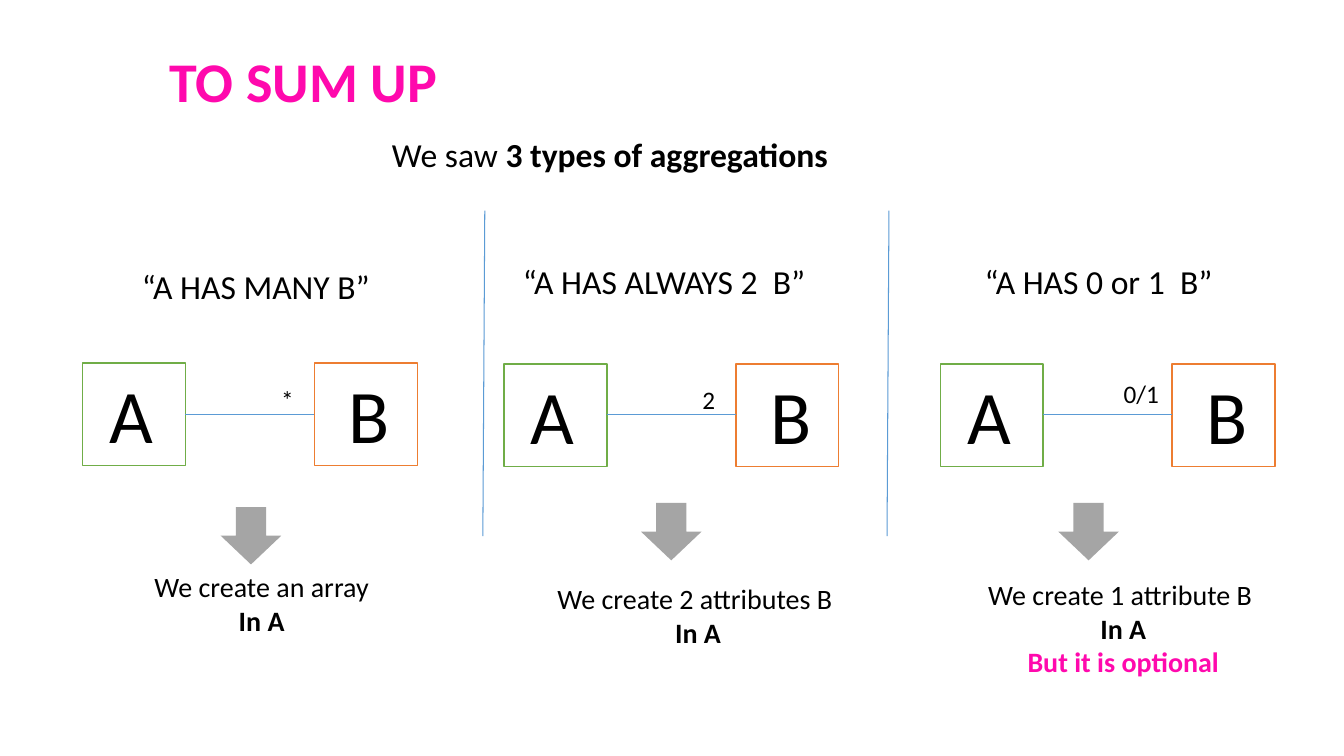
from pptx import Presentation
from pptx.dml.color import RGBColor
from pptx.enum.shapes import MSO_CONNECTOR as Link, MSO_SHAPE as Form
from pptx.enum.text import MSO_ANCHOR as Anchor, PP_ALIGN as Align
from pptx.oxml.ns import qn
from pptx.util import Pt
from lxml.etree import SubElement

BLACK = RGBColor(0x00, 0x00, 0x00)
WHITE = RGBColor(0xFF, 0xFF, 0xFF)
PINK = RGBColor(0xFF, 0x09, 0xAD)
GREEN = RGBColor(0x70, 0xAD, 0x47)
ORANGE = RGBColor(0xED, 0x7D, 0x31)
BLUE = RGBColor(0x5B, 0x9B, 0xD5)
GRAY = RGBColor(0xA5, 0xA5, 0xA5)


class Board:
    font = "Calibri"

    def __init__(self, deck):
        self.slide = deck.slides.add_slide(deck.slide_layouts[5])
        self.shapes = self.slide.shapes

    def letter(self, shape, lines, size, align=Align.LEFT):
        frame = shape.text_frame
        frame.word_wrap = True
        frame.vertical_anchor = Anchor.TOP
        for i, line in enumerate(lines):
            para = frame.add_paragraph() if i else frame.paragraphs[0]
            para.alignment = align
            para.space_before = Pt(0)
            for words, bold, color in line:
                run = para.add_run()
                run.text = words
                run.font.name = self.font
                run.font.size = Pt(size)
                run.font.bold = bold
                run.font.color.rgb = color

    def title(self, x, y, w, h, words):
        shape = self.shapes.title
        shape.left, shape.top, shape.width, shape.height = map(Pt, (x, y, w, h))
        self.letter(shape, [[(words, True, PINK)]], 40)

    def text(self, x, y, w, h, lines, size, align=Align.LEFT):
        box = self.shapes.add_textbox(Pt(x), Pt(y), Pt(w), Pt(h))
        self.letter(box, lines, size, align)

    def plain(self, x, y, w, h, words, size):
        self.text(x, y, w, h, [[(words, False, BLACK)]], size)

    def shape(self, form, x, y, w, h, fill, edge=None):
        shape = self.shapes.add_shape(form, Pt(x), Pt(y), Pt(w), Pt(h))
        shape.shadow.inherit = False
        shape.fill.solid()
        shape.fill.fore_color.rgb = fill
        if edge is None:
            shape.line.fill.background()
        else:
            shape.line.color.rgb = edge
            shape.line.width = Pt(1)

    def line(self, x1, y1, x2, y2):
        line = self.shapes.add_connector(Link.STRAIGHT, Pt(x1), Pt(y1), Pt(x2), Pt(y2))
        line.line.color.rgb = BLUE
        line.line.width = Pt(0.75)
        SubElement(line._element.spPr, qn("a:effectLst"))

    def pair(self, x, y, mark, mark_x, mark_y, mark_w):
        side, step = 73.5, 165.6
        self.shape(Form.RECTANGLE, x, y, side, side, WHITE, GREEN)
        self.shape(Form.RECTANGLE, x + step, y, side, side, WHITE, ORANGE)
        self.line(x + side, 296, x + step, 296)
        self.plain(mark_x, mark_y, mark_w, 29, mark, 18)
        self.plain(x + 12.2, y, 46, 72.7, "A", 54)
        self.plain(x + 183, y, 44, 72.7, "B", 54)

    def note(self, x, y, w, h, lines):
        self.text(x, y, w, h, lines, 20, Align.CENTER)


def main():
    deck = Presentation()
    deck.slide_width, deck.slide_height = Pt(960), Pt(540)
    board = Board(deck)
    board.title(113.8, 29.5, 232.6, 55.4, "TO SUM UP")
    intro = [("We saw ", False, BLACK), ("3 types of aggregations", True, BLACK)]
    board.text(272.9, 92.2, 358.6, 36, [intro], 24)

    for x in (346.3, 635):
        board.line(x, 150.5, x - 1.4, 383)

    place = [("In A", True, BLACK)]
    hint = [("But it is optional", True, PINK)]
    cases = [
        (("“A HAS MANY B”", 94.3, 186.5, 213.8),
         (59, 259.2, "*", 193.7, 270.7, 23.8),
         (157.7, 362.2),
         (95.8, 403.2, 182.2, 55.4), "We create an array", [place]),
        (("“A HAS ALWAYS 2  B”", 366.5, 182.9, 237.6),
         (360, 259.9, "2", 494.6, 270.7, 23.8),
         (457.9, 359.3),
         (360, 411.8, 277.2, 55.4), "We create 2 attributes B ", [place]),
        (("“A HAS 0 or 1  B”", 696.2, 182.9, 237.6),
         (671.6, 259.9, "0/1", 795.6, 266.4, 40.3),
         (756, 359.3),
         (659.5, 409, 285.8, 79.9), "We create 1 attribute B ", [place, hint]),
    ]
    for (head, x, y, w), pair, arrow, area, result, rest in cases:
        board.plain(x, y, w, 36, head, 24)
        board.pair(*pair)
        board.shape(Form.DOWN_ARROW, *arrow, 43.2, 41, GRAY)
        board.note(*area, [[(result, False, BLACK)], *rest])

    deck.save("out.pptx")


if __name__ == "__main__":
    main()
